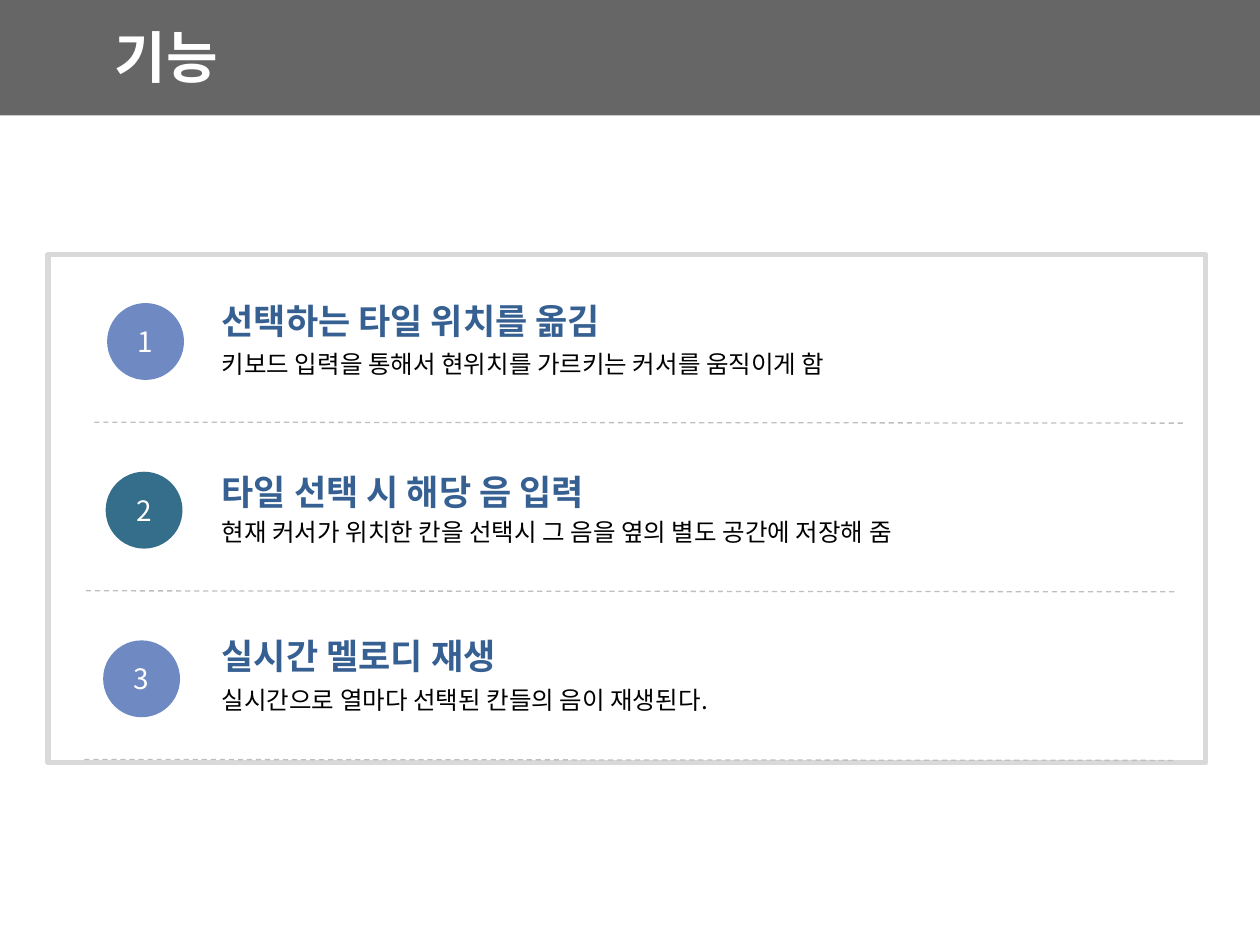
from pptx import Presentation
from pptx.dml.color import RGBColor
from pptx.enum.dml import MSO_LINE
from pptx.enum.shapes import MSO_CONNECTOR, MSO_SHAPE
from pptx.enum.text import MSO_ANCHOR, MSO_AUTO_SIZE, PP_ALIGN
from pptx.oxml.ns import qn
from pptx.util import Cm, Pt
from lxml.etree import SubElement

WHITE = RGBColor(0xFF, 0xFF, 0xFF)
BLACK = RGBColor(0, 0, 0)
BAND_GREY = RGBColor(0x66, 0x66, 0x66)
FRAME_GREY = RGBColor(0xD9, 0xD9, 0xD9)
DASH_GREY = RGBColor(0xBF, 0xBF, 0xBF)
HEADING_BLUE = RGBColor(0x37, 0x60, 0x92)
PERIWINKLE = RGBColor(0x6F, 0x89, 0xC3)
TEAL = RGBColor(0x35, 0x6E, 0x8B)


class Page:
    font_name = "Noto Sans CJK KR"

    def __init__(self, slide):
        self.slide = slide
        self.shapes = slide.shapes

    def add_words(self, frame, words, size, color, bold=False, align=PP_ALIGN.LEFT):
        paragraph = frame.paragraphs[0]
        paragraph.alignment = align
        run = paragraph.add_run()
        run.text = words
        font = run.font
        font.name, font.size, font.bold = self.font_name, Pt(size), bold
        font.color.rgb = color
        # Korean text takes the East Asian typeface
        SubElement(run._r.get_or_add_rPr(), qn("a:ea"), typeface=self.font_name)

    def shape(self, kind, left, top, width, height, fill=None, line=None, weight=0):
        shape = self.shapes.add_shape(kind, Cm(left), Cm(top), Cm(width), Cm(height))
        shape.shadow.inherit = False
        if fill is None:
            shape.fill.background()
        else:
            shape.fill.solid()
            shape.fill.fore_color.rgb = fill
        if line is None:
            shape.line.fill.background()
        else:
            shape.line.color.rgb = line
            shape.line.width = Pt(weight)
        return shape

    def title(self, words, left, top, width, height, size):
        title = self.shapes.title
        title.left, title.top = Cm(left), Cm(top)
        title.width, title.height = Cm(width), Cm(height)
        frame = title.text_frame
        frame.word_wrap = False
        frame.auto_size = MSO_AUTO_SIZE.SHAPE_TO_FIT_TEXT
        frame.vertical_anchor = MSO_ANCHOR.TOP
        self.add_words(frame, words, size, WHITE, bold=True)
        return title

    def text(self, words, left, top, width, height, size, color, bold=False):
        box = self.shapes.add_textbox(Cm(left), Cm(top), Cm(width), Cm(height))
        frame = box.text_frame
        frame.word_wrap = True
        frame.auto_size = MSO_AUTO_SIZE.SHAPE_TO_FIT_TEXT
        self.add_words(frame, words, size, color, bold)

    def badge(self, number, left, top, fill):
        circle = self.shape(MSO_SHAPE.OVAL, left, top, 1.55, 1.55, fill)
        circle.text_frame.vertical_anchor = MSO_ANCHOR.MIDDLE
        self.add_words(circle.text_frame, str(number), 16, WHITE, align=PP_ALIGN.CENTER)

    def divider(self, left, top):
        rule = self.shapes.add_connector(
            MSO_CONNECTOR.STRAIGHT, Cm(left), Cm(top), Cm(left + 21.97), Cm(top + 0.02))
        rule.line.color.rgb = DASH_GREY
        rule.line.width = Pt(0.75)
        rule.line.dash_style = MSO_LINE.DASH
        SubElement(rule._element.spPr, qn("a:effectLst"))


deck = Presentation()
deck.slide_width, deck.slide_height = Cm(25.4), Cm(19.05)
page = Page(deck.slides.add_slide(deck.slide_layouts[5]))

# Header band, with the title in front of it
band = page.shape(MSO_SHAPE.RECTANGLE, 0, 0, 25.4, 2.33, BAND_GREY)
title = page.title("기능", 2.06, 0.33, 2.8, 1.62, 32)
band.element.addnext(title.element)

# Frame around the features
page.shape(MSO_SHAPE.RECTANGLE, 0.97, 5.13, 23.34, 10.24, line=FRAME_GREY, weight=3)

# Features: heading, detail, badge colour, badge left, heading top, divider left
features = [
    ("선택하는 타일 위치를 옮김",
     "키보드 입력을 통해서 현위치를 가르키는 커서를 움직이게 함",
     PERIWINKLE, 2.16, 5.92, 1.9),
    ("타일 선택 시 해당 음 입력",
     "현재 커서가 위치한 칸을 선택시 그 음을 옆의 별도 공간에 저장해 줌",
     TEAL, 2.13, 9.37, 1.73),
    ("실시간 멜로디 재생",
     "실시간으로 열마다 선택된 칸들의 음이 재생된다.",
     PERIWINKLE, 2.08, 12.67, 1.7),
]
ROW_PITCH = 3.4
for row, (heading, detail, color, badge_left, heading_top, rule_left) in enumerate(features):
    offset = row * ROW_PITCH
    page.badge(row + 1, badge_left, 6.11 + offset, color)
    page.text(heading, 4.22, heading_top, 18, 1.12, 20, HEADING_BLUE, bold=True)
    page.text(detail, 4.22, 6.92 + row * 3.38, 19.5, 0.86, 14, BLACK)
    page.divider(rule_left, 8.51 + offset)

deck.save("out.pptx")
